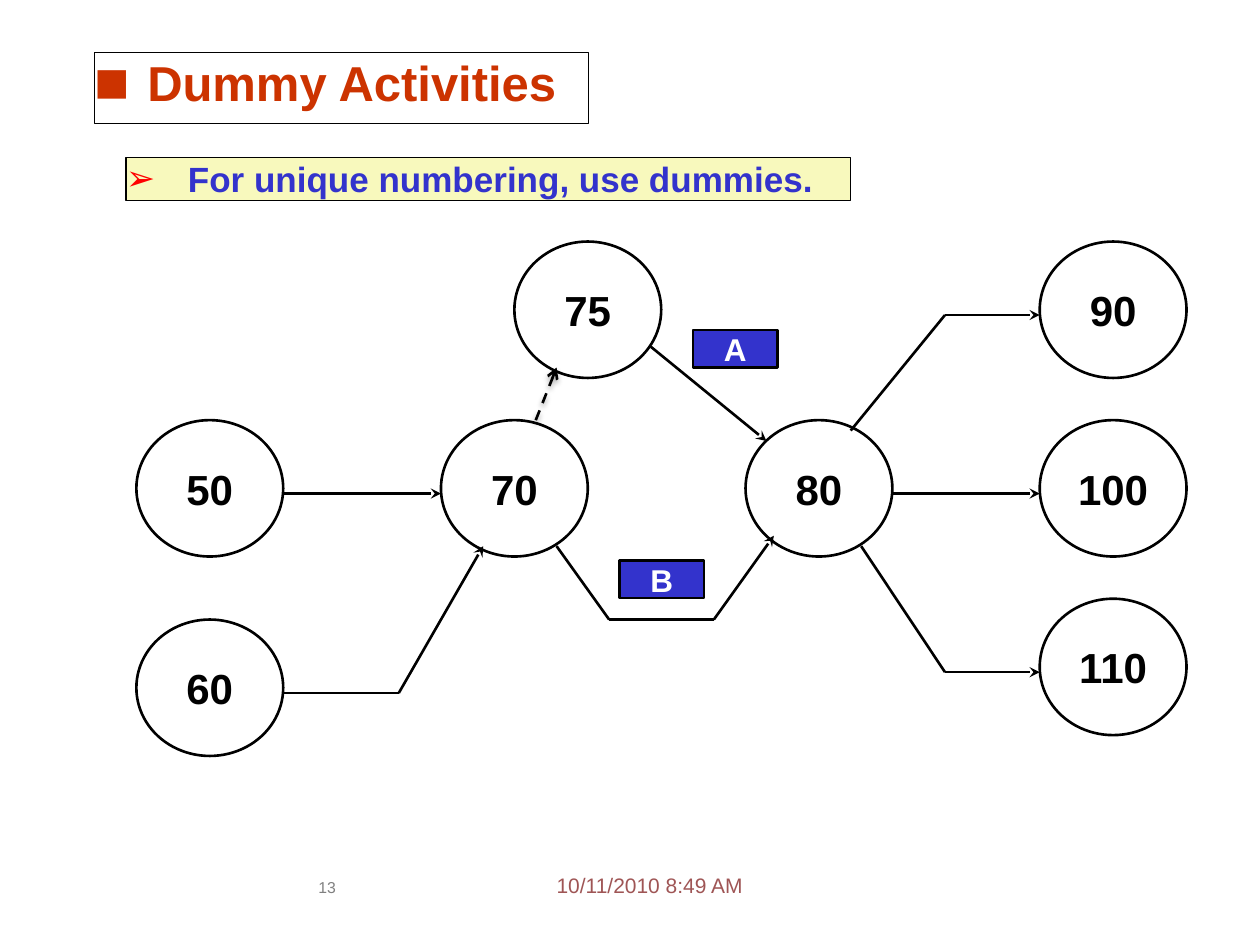
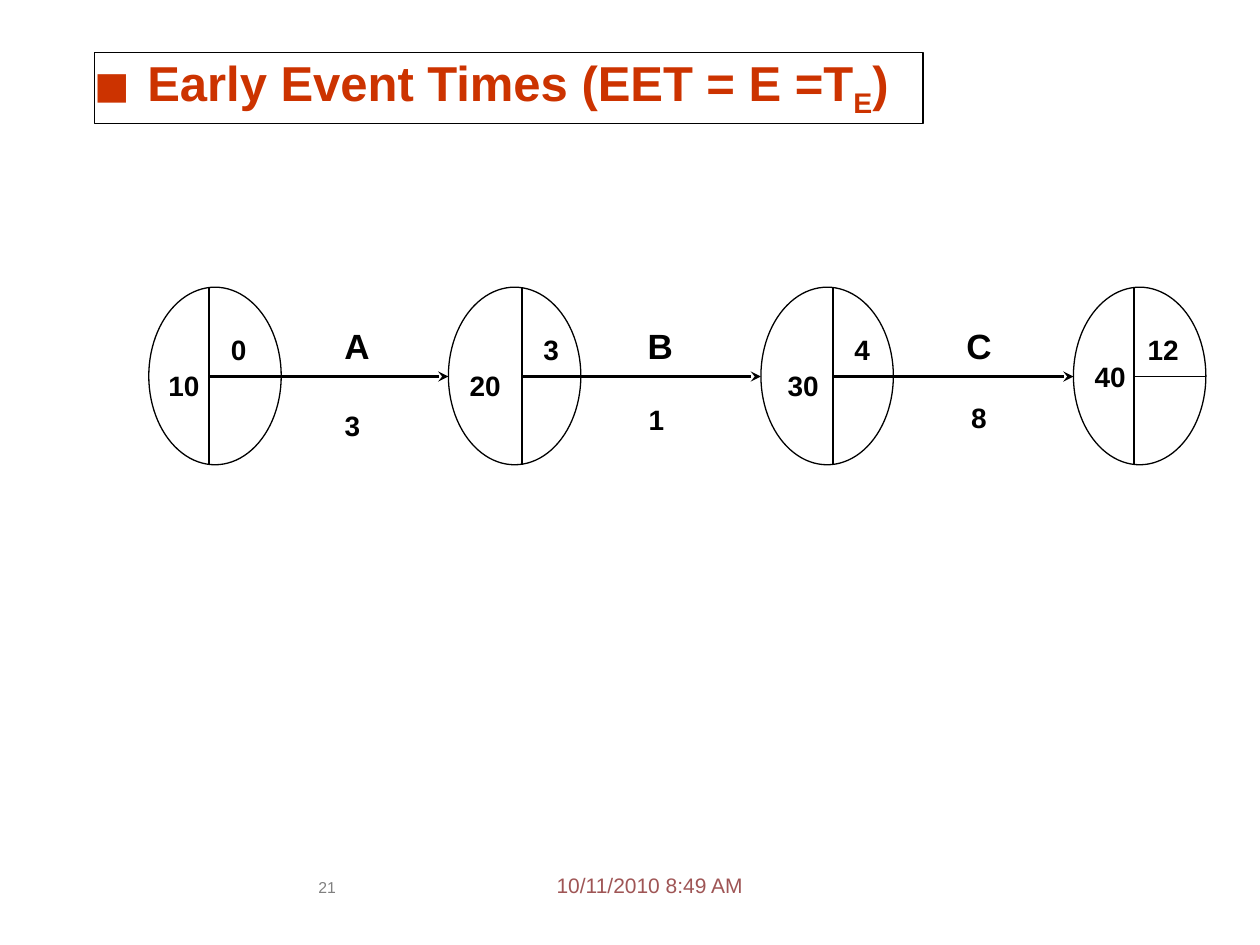
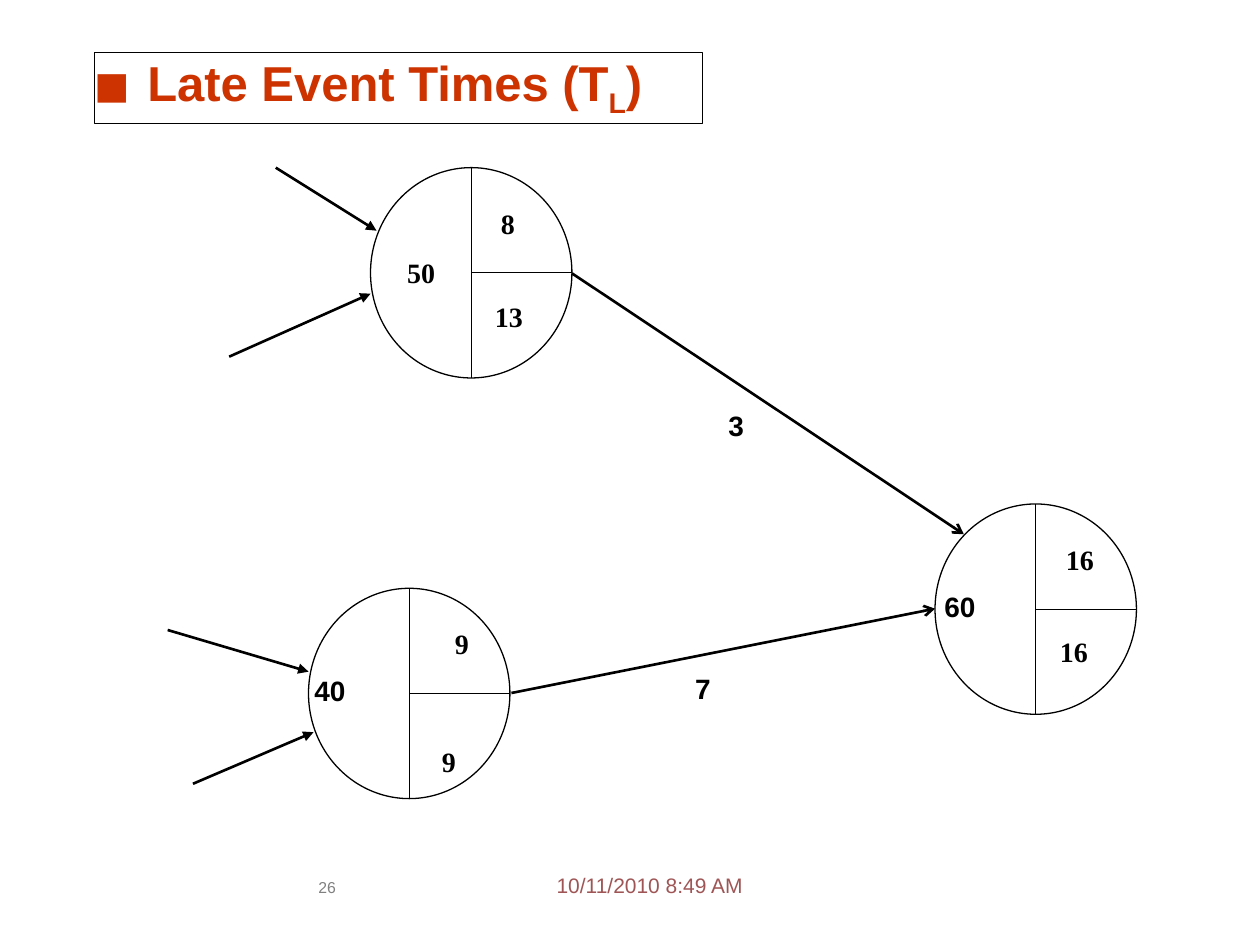
from itertools import pairwise

from lxml.etree import SubElement
from pptx import Presentation
from pptx.dml.color import RGBColor
from pptx.enum.dml import MSO_LINE
from pptx.enum.shapes import MSO_CONNECTOR, MSO_SHAPE
from pptx.enum.text import MSO_ANCHOR, PP_ALIGN
from pptx.oxml.ns import qn
from pptx.util import Cm, Pt

COLORS = {
    "black": "000000",
    "white": "FFFFFF",
    "title": "CC3300",
    "blue": "3333CC",
    "yellow": "F8F9BD",
    "red": "FF0000",
    "date": "9F5555",
    "number": "808080",
}


def add_text(page, text, left, top, width, height, shape=None, fill=None, line=None,
             size=16, color="black", bold=True, font="Arial", align=PP_ALIGN.CENTER,
             anchor=MSO_ANCHOR.TOP, wrap=True, bullet=None, bullet_color="title",
             bullet_size=100, indent=0):
    place = Cm(left), Cm(top), Cm(width), Cm(height)
    if shape is None:
        box = page.shapes.add_textbox(*place)
    else:
        box = page.shapes.add_shape(shape, *place)
        box.shadow.inherit = False
    if fill:
        box.fill.solid()
        box.fill.fore_color.rgb = RGBColor.from_string(COLORS[fill])
    else:
        box.fill.background()
    if line:
        box.line.color.rgb = RGBColor.from_string(COLORS["black"])
        box.line.width = Pt(line)
    else:
        box.line.fill.background()
    frame = box.text_frame
    frame.margin_left = frame.margin_right = frame.margin_top = frame.margin_bottom = 0
    frame.word_wrap = wrap
    frame.vertical_anchor = anchor
    para = frame.paragraphs[0]
    para.alignment = align
    if bullet:
        properties = para._p.get_or_add_pPr()
        properties.set("marL", str(Cm(indent)))
        properties.set("indent", str(-Cm(indent)))
        tint = SubElement(properties, qn("a:buClr"))
        SubElement(tint, qn("a:srgbClr"), val=COLORS[bullet_color])
        SubElement(properties, qn("a:buSzPct"), val=str(bullet_size * 1000))
        SubElement(properties, qn("a:buFont"), typeface=font)
        SubElement(properties, qn("a:buChar"), char=bullet)
    for index, part in enumerate(text.split("|") if text else []):
        span = para.add_run()
        span.text = part
        span.font.size = Pt(size)
        span.font.name = font
        span.font.bold = bold
        span.font.color.rgb = RGBColor.from_string(COLORS[color])
        if index % 2:
            span._r.get_or_add_rPr().set("baseline", "-25000")


def add_line(page, start, end, width=1.5, arrow=None, dashed=False):
    connector = page.shapes.add_connector(
        MSO_CONNECTOR.STRAIGHT, *[Cm(value) for value in (*start, *end)])
    connector.line.color.rgb = RGBColor.from_string(COLORS["black"])
    connector.line.width = Pt(width)
    if dashed:
        connector.line.dash_style = MSO_LINE.DASH
    if arrow:
        SubElement(connector.line._get_or_add_ln(), qn("a:tailEnd"), type=arrow)
    effects = SubElement(connector._element.spPr, qn("a:effectLst"))
    if dashed:
        shadow = SubElement(effects, qn("a:outerShdw"), blurRad="40000", dist="23000",
                            dir="5400000", rotWithShape="0")
        tint = SubElement(shadow, qn("a:srgbClr"), val=COLORS["black"])
        SubElement(tint, qn("a:alpha"), val="35000")


deck = Presentation()
deck.slide_width = Cm(25.4)
deck.slide_height = Cm(19.05)

pages = []
for title, title_width, number in [
    ("Dummy Activities", 9.96, "13"),
    ("Early Event Times (EET = E =T|E|)", 16.71, "21"),
    ("Late Event Times (T|L|)", 12.27, "26"),
]:
    page = deck.slides.add_slide(deck.slide_layouts[6])
    add_text(page, "10/11/2010 8:49 AM", 11.22, 17.58, 4.24, 0.64, size=12,
             color="date", bold=False, align=PP_ALIGN.LEFT)
    add_text(page, number, 6.1, 17.7, 0.99, 0.86, size=9, color="number", bold=False)
    add_text(page, title, 1.9, 1.06, title_width, 1.43, shape=MSO_SHAPE.RECTANGLE,
             fill="white", line=0.75, size=28, color="title", align=PP_ALIGN.LEFT,
             bullet="■", bullet_size=120, indent=1.07)
    pages.append(page)
dummy_page, early_page, late_page = pages

add_text(dummy_page, "For unique numbering, use dummies.", 2.54, 3.18, 14.6, 0.86,
         shape=MSO_SHAPE.RECTANGLE, fill="yellow", line=0.75, size=20, color="blue",
         align=PP_ALIGN.LEFT, bullet="➢", bullet_color="red", indent=1.25)

for event, left, top in [
    ("90", 20.96, 4.87), ("100", 20.96, 8.47), ("110", 20.96, 12.07),
    ("50", 2.75, 8.47), ("60", 2.75, 12.49), ("70", 8.89, 8.47),
    ("80", 15.03, 8.47), ("75", 10.37, 4.87),
]:
    add_text(dummy_page, event, left, top, 2.96, 2.75, shape=MSO_SHAPE.OVAL,
             fill="white", line=1.5, size=24, anchor=MSO_ANCHOR.MIDDLE, wrap=False)

for route in [
    [(5.72, 9.95), (8.89, 9.95)],
    [(5.72, 13.97), (8.04, 13.97), (9.74, 11.01)],
    [(13.12, 6.99), (15.45, 8.89)],
    [(11.22, 11.01), (12.28, 12.49), (14.39, 12.49), (15.6, 10.8)],
    [(17.15, 8.68), (19.05, 6.35), (20.96, 6.35)],
    [(17.99, 9.95), (20.96, 9.95)],
    [(17.36, 11.01), (19.05, 13.55), (20.96, 13.55)],
]:
    for start, end in pairwise(route):
        add_line(dummy_page, start, end, arrow="stealth" if end == route[-1] else None)
add_line(dummy_page, (10.8, 8.47), (11.22, 7.41), arrow="arrow", dashed=True)

for activity, left, top in [("A", 13.97, 6.65), ("B", 12.49, 11.3)]:
    add_text(dummy_page, activity, left, top, 1.7, 0.76, shape=MSO_SHAPE.RECTANGLE,
             fill="blue", line=1.5, size=18, color="white")

event_top, event_bottom, event_middle = 5.79, 9.37, 7.59
event_lefts = [3, 9.04, 15.34, 21.64]
for index, (event, event_center, label_height, early_time, divider) in enumerate([
    ("10", 3.71, 3.23, "0", 4.22),
    ("20", 9.78, 3.23, "3", 10.52),
    ("30", 16.19, 3.23, "4", 16.79),
    ("40", 22.38, 2.87, "12", 22.86),
]):
    left = event_lefts[index]
    add_text(early_page, "", left, event_top, 2.67, 3.58, shape=MSO_SHAPE.OVAL,
             fill="white", line=0.75)
    add_line(early_page, (divider, event_top), (divider, event_bottom), width=1)
    add_text(early_page, event, event_center - 0.96, 6.15, 1.92, label_height,
             shape=MSO_SHAPE.OVAL, anchor=MSO_ANCHOR.MIDDLE, wrap=False)
    add_text(early_page, early_time, divider - 0.5, 5.08, 2.18, 3.94,
             shape=MSO_SHAPE.OVAL, anchor=MSO_ANCHOR.MIDDLE, wrap=False)
    if index < 3:
        add_line(early_page, (divider, event_middle),
                 (event_lefts[index + 1], event_middle), arrow="stealth")
    else:
        add_line(early_page, (divider, event_middle), (left + 2.67, event_middle), width=1)

for activity, left, width in [("A", 6.35, 1.7), ("B", 12.42, 1.78), ("C", 19.05, 1.37)]:
    add_text(early_page, activity, left, 6.55, width, 0.86, shape=MSO_SHAPE.RECTANGLE,
             fill="white", size=20)
for duration, left, top, width, height in [
    ("3", 6.38, 8.05, 1.45, 1.07),
    ("1", 12.7, 7.82, 1.07, 1.27),
    ("8", 19.15, 7.82, 1.17, 1.17),
]:
    add_text(early_page, duration, left, top, width, height, shape=MSO_SHAPE.OVAL,
             fill="white", anchor=MSO_ANCHOR.MIDDLE, wrap=False)

for left, top in [(7.47, 3.38), (18.85, 10.16), (6.22, 11.86)]:
    center, middle = left + 2.03, top + 2.12
    add_text(late_page, "", left, top, 4.06, 4.24, shape=MSO_SHAPE.OVAL,
             fill="white", line=0.75)
    add_line(late_page, (center, top), (center, top + 4.24), width=0.75)
    add_line(late_page, (center, middle), (left + 4.06, middle), width=0.75)

for start, end, arrow in [
    ((3.89, 15.8), (6.32, 14.76), "triangle"),
    ((3.38, 12.7), (6.22, 13.54), "triangle"),
    ((4.62, 7.19), (7.47, 5.92), "triangle"),
    ((5.56, 3.38), (7.59, 4.65), "triangle"),
    ((11.53, 5.51), (19.43, 10.77), "arrow"),
    ((10.31, 13.97), (18.85, 12.27), "arrow"),
]:
    add_line(late_page, start, end, arrow=arrow)

for font, labels in {
    "Times New Roman": [
        ("50", 8.49, 5.48), ("8", 10.24, 4.5), ("13", 10.26, 6.37),
        ("16", 21.77, 11.27), ("16", 21.65, 13.14),
        ("9", 9.31, 12.96), ("9", 9.05, 15.34),
    ],
    "Arial": [
        ("40", 6.65, 13.91), ("60", 19.35, 12.22),
        ("3", 14.84, 8.57), ("7", 14.17, 13.87),
    ],
}.items():
    for label, center, middle in labels:
        add_text(late_page, label, center - 0.4, middle - 0.34, 0.8, 0.68, font=font,
                 anchor=MSO_ANCHOR.MIDDLE)

deck.save("out.pptx")
